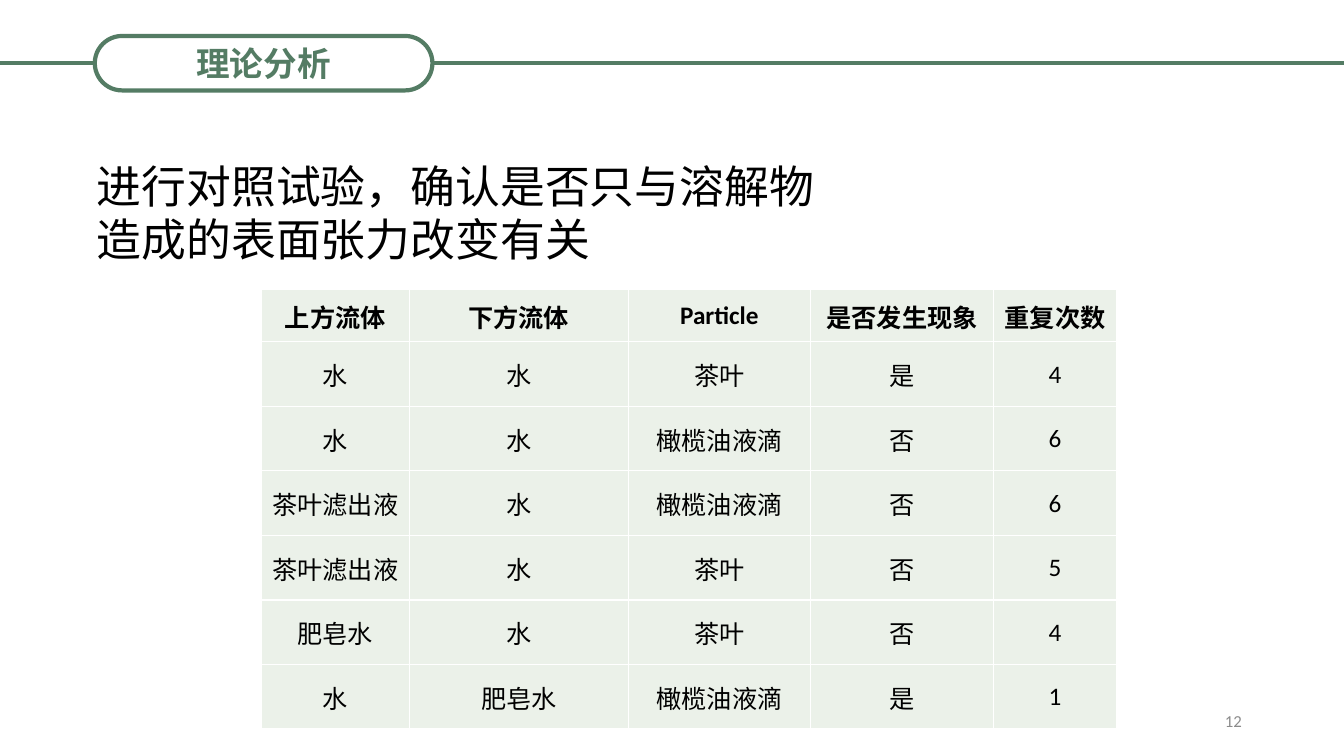
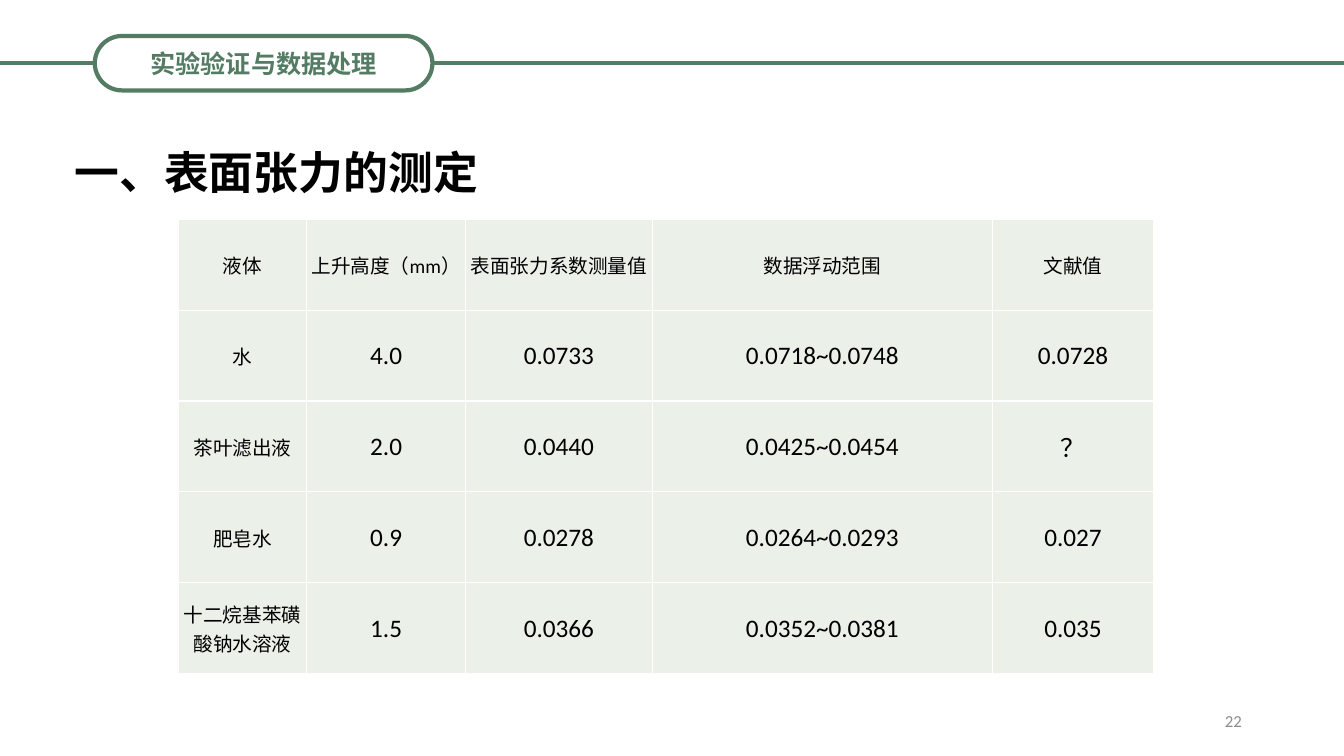
from lxml import etree
from pptx import Presentation
from pptx.dml.color import RGBColor
from pptx.enum.shapes import MSO_CONNECTOR, MSO_SHAPE
from pptx.enum.text import MSO_ANCHOR, MSO_AUTO_SIZE, PP_ALIGN
from pptx.oxml.ns import qn
from pptx.util import Pt

STRAIGHT = MSO_CONNECTOR.STRAIGHT
ROUND_RECT = MSO_SHAPE.ROUNDED_RECTANGLE
LEFT, CENTER, RIGHT = PP_ALIGN.LEFT, PP_ALIGN.CENTER, PP_ALIGN.RIGHT
TOP, MIDDLE = MSO_ANCHOR.TOP, MSO_ANCHOR.MIDDLE

COLORS = {"green": "547C64", "cell": "EBF1E9", "white": "FFFFFF",
          "black": "000000", "grey": "8C8C8C"}
CJK, LATIN = "Noto Sans CJK SC", "Calibri"
SLIDE_W, SLIDE_H = 960, 540
PILL = (67.7, 25.7, 241.2, 38.9)
NUMBER = (678.2, 500.4, 216, 28.8)
TITLE_ONLY = 5

SLIDES = [
    {
        "section": ("理论分析", 24),
        "title": ("进行对照试验，确认是否只与溶解物造成的表面张力改变有关", False),
        "title_at": (62, 110, 533.5, 85),
        "number": "12",
        "table_at": (186.7, 206.6),
        "cols": [105.6, 156.6, 130, 131, 87.6],
        "row_heights": [37.6] + [46.1] * 6,
        "header": {"size": 18, "bold": True},
        "first_col_size": 18,
        "rows": [
            ["上方流体", "下方流体", "Particle", "是否发生现象", "重复次数"],
            ["水", "水", "茶叶", "是", "4"],
            ["水", "水", "橄榄油液滴", "否", "6"],
            ["茶叶滤出液", "水", "橄榄油液滴", "否", "6"],
            ["茶叶滤出液", "水", "茶叶", "否", "5"],
            ["肥皂水", "水", "茶叶", "否", "4"],
            ["水", "肥皂水", "橄榄油液滴", "是", "1"],
        ],
    },
    {
        "section": ("实验验证与数据处理", 18),
        "title": ("一、表面张力的测定", True),
        "title_at": (46, 100, 463.7, 46),
        "number": "22",
        "table_at": (127.6, 156.6),
        "cols": [91.4, 113.6, 133.4, 243, 115],
        "row_heights": [64.9] * 5,
        "header": {"size": 14, "bold": False},
        "first_col_size": 14,
        "rows": [
            ["液体", "上升高度（mm）", "表面张力系数测量值", "数据浮动范围", "文献值"],
            ["水", "4.0", "0.0733", "0.0718~0.0748", "0.0728"],
            ["茶叶滤出液", "2.0", "0.0440", "0.0425~0.0454", "？"],
            ["肥皂水", "0.9", "0.0278", "0.0264~0.0293", "0.027"],
            ["十二烷基苯磺酸钠水溶液", "1.5", "0.0366", "0.0352~0.0381", "0.035"],
        ],
    },
]


def rgb(name):
    return RGBColor.from_string(COLORS[name])


def pts(values):
    return [Pt(v) for v in values]


def write(tf, text, size, color="black", bold=False, font=LATIN, align=CENTER):
    p = tf.paragraphs[0]
    p.alignment = align
    r = p.add_run()
    r.text = text
    r.font.size, r.font.bold, r.font.name = Pt(size), bold, font
    r.font.color.rgb = rgb(color)
    etree.SubElement(r.font._element, qn("a:ea"), typeface=CJK)
    return p


def set_margins(box, left, top, right, bottom):
    box.margin_left, box.margin_top = Pt(left), Pt(top)
    box.margin_right, box.margin_bottom = Pt(right), Pt(bottom)


def add_section(slide, text, size):
    """Section name in a pill, with a rule running to both slide edges."""
    pill = slide.shapes.add_shape(ROUND_RECT, *pts(PILL))
    pill.adjustments[0] = 0.5
    pill.shadow.inherit = False
    pill.fill.background()
    pill.line.color.rgb, pill.line.width = rgb("green"), Pt(3)
    tf = pill.text_frame
    tf.vertical_anchor = MIDDLE
    set_margins(tf, 0, 0, 0, 0)
    write(tf, text, size, "green", True, CJK)

    y = PILL[1] + PILL[3] / 2
    for side, edge in ((1, 0), (3, SLIDE_W)):
        rule = slide.shapes.add_connector(STRAIGHT, *pts((edge, y, edge, y)))
        rule.begin_connect(pill, side)
        rule.line.color.rgb, rule.line.width = rgb("green"), Pt(3)
        etree.SubElement(rule._element.spPr, qn("a:effectLst"))


def add_title(slide, text, bold, at):
    title = slide.shapes.title
    title.left, title.top, title.width, title.height = pts(at)
    tf = title.text_frame
    tf.auto_size, tf.word_wrap, tf.vertical_anchor = MSO_AUTO_SIZE.NONE, True, TOP
    p = write(tf, text, 32, bold=bold, font=CJK, align=LEFT)
    p.line_spacing = Pt(38)


def add_number(slide, number):
    tf = slide.shapes.add_textbox(*pts(NUMBER)).text_frame
    tf.word_wrap, tf.vertical_anchor = True, MIDDLE
    write(tf, number, 12, "grey", align=RIGHT)


def add_borders(cell):
    tc_pr = cell._tc.get_or_add_tcPr()
    for i, side in enumerate(("lnL", "lnR", "lnT", "lnB")):
        ln = etree.Element(qn(f"a:{side}"), w=str(Pt(1)))
        fill = etree.SubElement(ln, qn("a:solidFill"))
        etree.SubElement(fill, qn("a:srgbClr"), val=COLORS["white"])
        tc_pr.insert(i, ln)


def add_data_table(slide, data):
    rows, cols, heights = data["rows"], data["cols"], data["row_heights"]
    box = (*data["table_at"], sum(cols), sum(heights))
    table = slide.shapes.add_table(len(rows), len(cols), *pts(box)).table
    table.first_row = table.horz_banding = False
    for col, width in zip(table.columns, cols):
        col.width = Pt(width)
    for row, height in zip(table.rows, heights):
        row.height = Pt(height)
    for i, texts in enumerate(rows):
        for j, text in enumerate(texts):
            cell = table.cell(i, j)
            cell.fill.solid()
            cell.fill.fore_color.rgb = rgb("cell")
            cell.vertical_anchor = MIDDLE
            set_margins(cell, 0.7, 0.7, 0.7, 0)
            add_borders(cell)
            body = {"size": 18 if j else data["first_col_size"]}
            write(cell.text_frame, text, **(body if i else data["header"]))


def main():
    prs = Presentation()
    prs.slide_width, prs.slide_height = Pt(SLIDE_W), Pt(SLIDE_H)
    for data in SLIDES:
        slide = prs.slides.add_slide(prs.slide_layouts[TITLE_ONLY])
        add_section(slide, *data["section"])
        add_title(slide, *data["title"], data["title_at"])
        add_data_table(slide, data)
        add_number(slide, data["number"])
    prs.save("out.pptx")


if __name__ == "__main__":
    main()
